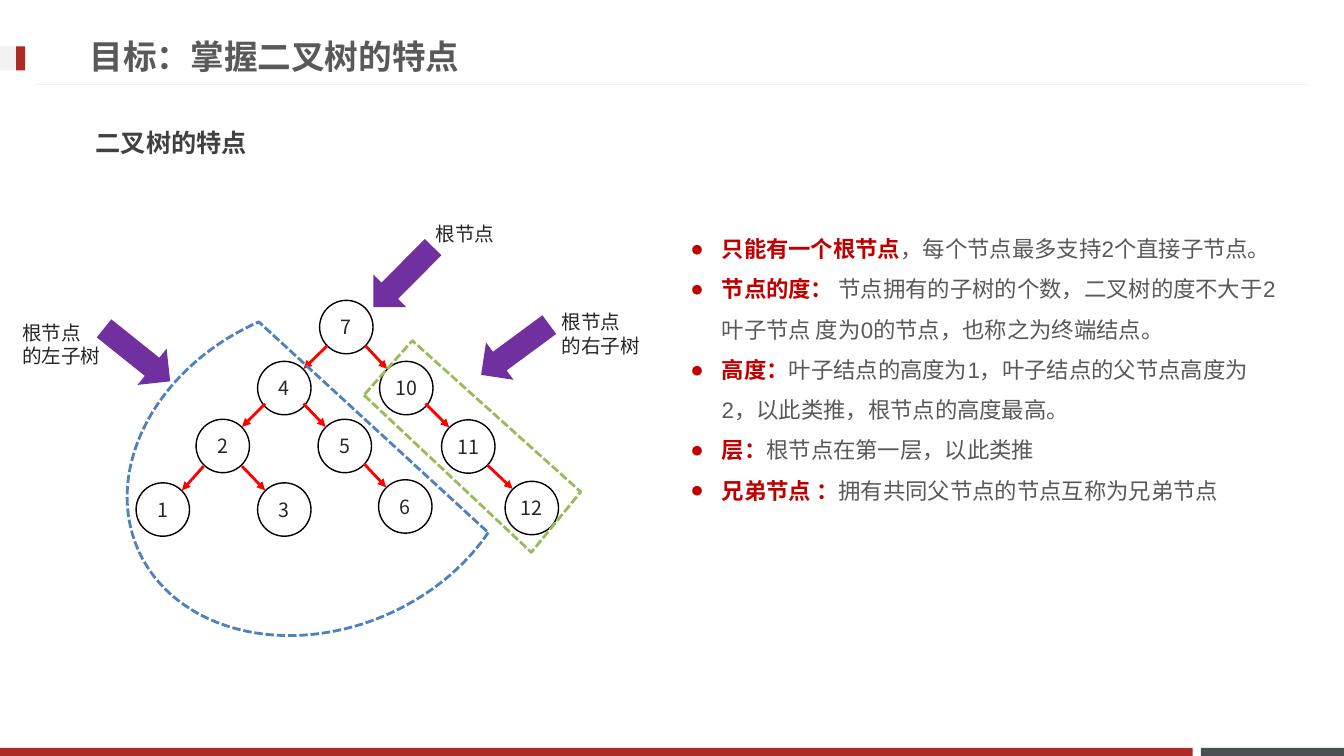
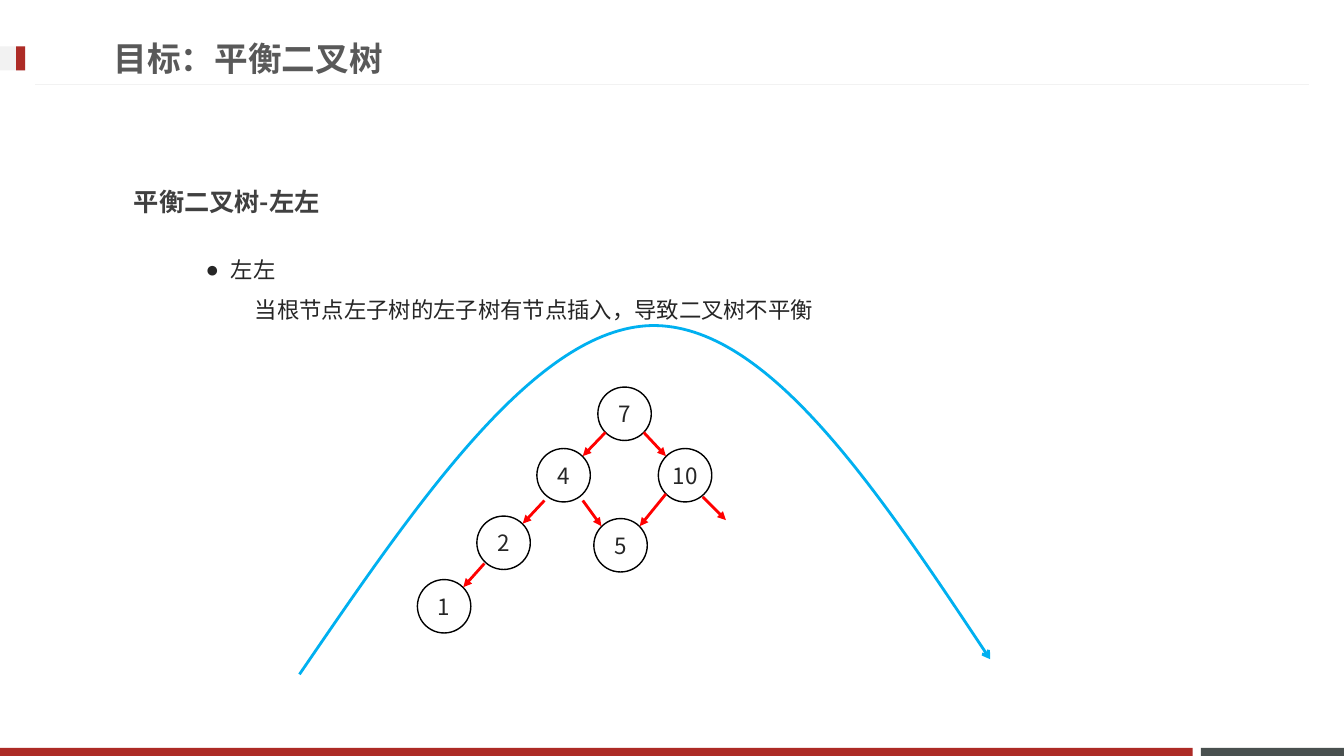
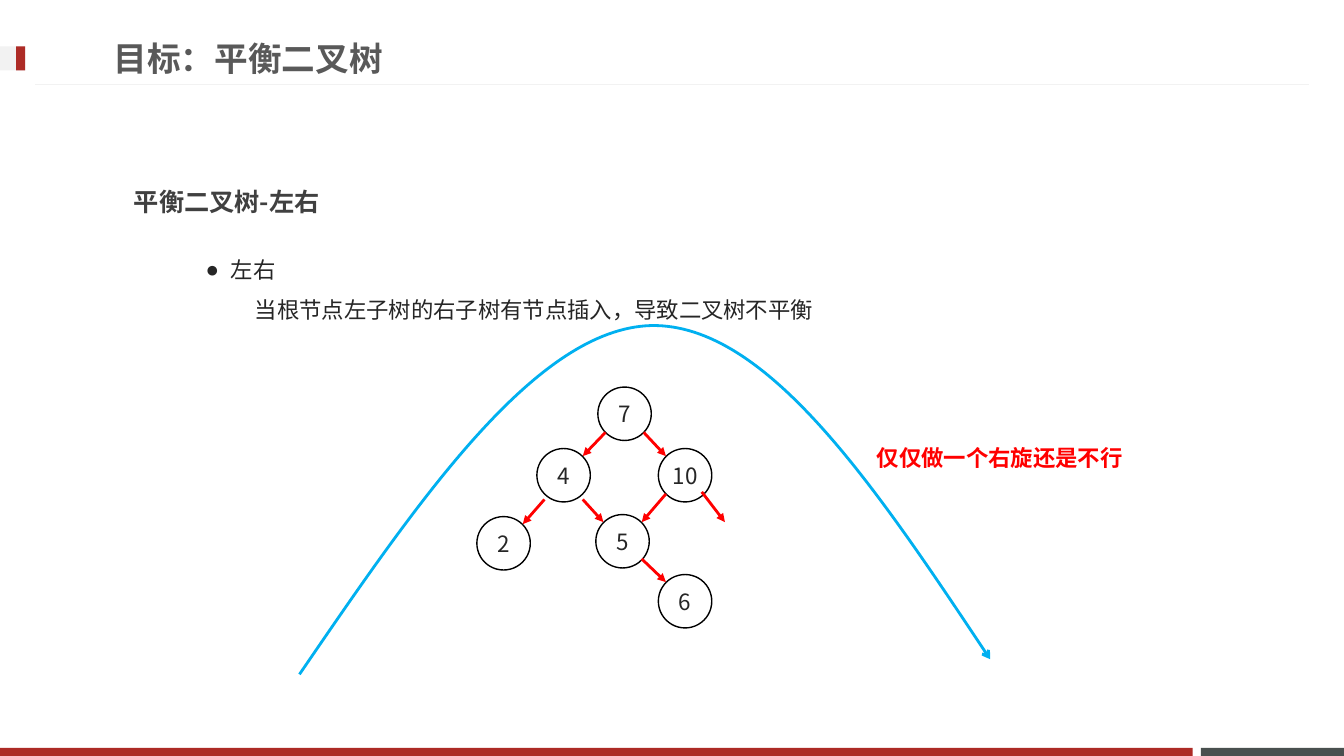
from dataclasses import dataclass

from lxml import etree
from pptx import Presentation
from pptx import util as u
from pptx.dml.color import RGBColor
from pptx.enum import dml, shapes, text
from pptx.oxml.ns import qn


@dataclass(frozen=True)
class Theme:
    brand: str = "AD2B26"
    slate: str = "49504F"
    pale: str = "F2F2F2"
    ink: str = "262626"
    heading: str = "404040"
    body: str = "595959"
    term: str = "C00000"
    alert: str = "FF0000"
    pointer: str = "7030A0"
    left_tree: str = "4F81BD"
    right_tree: str = "9BBB59"
    rotation: str = "00B0F0"
    outline: str = "000000"
    sans: str = "Noto Sans CJK SC"
    title_sans: str = "Noto Sans CJK JP"
    latin: str = "Arial"
    title_size: int = 24
    heading_size: int = 18
    body_size: int = 16
    label_size: int = 14


theme = Theme()
prs = Presentation()
prs.slide_width, prs.slide_height = u.Inches(13.33), u.Inches(7.5)

# Grid of square cells: 75 rows, a little over 133 columns
cell = prs.slide_height / 75
last_col = prs.slide_width / cell
blank = prs.slide_layouts[6]


def draw(slide, place, content=(), preset=None, fill=None, line=None, dash=None, weight=1,
         turn=0, size=theme.label_size, color=theme.ink, font=theme.sans, bold=False,
         align=None, anchor=None, spacing=None, wrap=True, bullets=0, hang=0, indent=0):
    """Add a text box or preset shape; a (lead, rest) paragraph opens with a bold term."""
    place = [u.Emu(round(cell * n)) for n in place]
    if preset is None:
        part = slide.shapes.add_textbox(*place)
    else:
        part = slide.shapes.add_shape(preset, *place)
        part.shadow.inherit = False
        part.rotation = turn
        part.fill.background()
        part.line.fill.background()
        if fill:
            part.fill.solid()
            part.fill.fore_color.rgb = RGBColor.from_string(fill)
        if line:
            part.line.color.rgb = RGBColor.from_string(line)
            part.line.width = u.Pt(weight)
            part.line.dash_style = dash
    frame = part.text_frame
    frame.word_wrap = wrap
    if anchor:
        frame.vertical_anchor = anchor
    if preset:
        frame.margin_left = frame.margin_right = frame.margin_top = frame.margin_bottom = 0
    for i, entry in enumerate(content):
        para = frame.paragraphs[0] if i == 0 else frame.add_paragraph()
        layout = para._p.get_or_add_pPr()
        if i < bullets:
            layout.set("marL", str(round(hang * cell)))
            layout.set("indent", str(-round(hang * cell)))
            etree.SubElement(layout, qn("a:buFont"), typeface=theme.latin)
            etree.SubElement(layout, qn("a:buChar"), char="●")
        elif indent:
            layout.set("marL", str(round(indent * cell)))
        para.alignment = align
        para.line_spacing = spacing
        pieces = [(entry, color, bold)]
        if isinstance(entry, tuple):
            pieces = [(entry[0], theme.term, True), (entry[1], color, bold)]
        for words, tint, strong in pieces:
            run = para.add_run()
            run.text = words
            run.font.size = u.Pt(size)
            run.font.bold = strong
            run.font.color.rgb = RGBColor.from_string(tint)
            run.font.name = font
            east_asian = theme.sans if font == theme.latin else font
            etree.SubElement(run._r.get_or_add_rPr(), qn("a:ea"), typeface=east_asian)
    return part


def connect(slide, ends, color, weight, head=None):
    """Add a straight line between two grid points, with an optional arrowhead."""
    link = slide.shapes.add_connector(
        shapes.MSO_CONNECTOR.STRAIGHT, *[u.Emu(round(cell * n)) for n in ends])
    link.line.color.rgb = RGBColor.from_string(color)
    link.line.width = u.Pt(weight)
    properties = link.element.spPr
    if head:
        etree.SubElement(properties.find(qn("a:ln")), qn("a:tailEnd"), type=head)
    etree.SubElement(properties, qn("a:effectLst"))
    return link


# Slide content: node = (centre column, centre row, rows from centre to outgoing arrows)
pages = [
    dict(title="目标：掌握二叉树的特点", title_place=(7.9, 0, 78.5, 11.6),
         heading="二叉树的特点", heading_place=(8.5, 10.6, 83.8, 5.1),
         heading_font=theme.title_sans, node_size=theme.label_size,
         nodes={"7": (34.35, 32.45, 1.85), "4": (28.2, 38.5, 1.55), "10": (40.3, 38.5, 1.55),
                "2": (22.1, 44.25, 2), "5": (34.2, 44.25, 1.75), "11": (46.45, 44.3, 1.85),
                "1": (16.15, 50.55, 0), "3": (28.2, 50.55, 0), "6": (40.2, 50.25, 0),
                "12": (52.75, 50.4, 0)},
         edges=["7 4", "7 10", "4 2", "4 5", "2 1", "2 3", "5 6", "10 11", "11 12"]),
    dict(title="目标：平衡二叉树", title_place=(10.3, 0.1, 78.5, 11.8),
         heading="平衡二叉树-左左", heading_place=(12.3, 16.5, 45.6, 5),
         heading_font=theme.sans, node_size=theme.body_size,
         nodes={"7": (61.95, 41.05, 1.85), "4": (55.9, 47.15, 2.5), "10": (67.95, 47.15, 1.85),
                "2": (49.95, 53.85, 2.05), "1": (44.05, 60.15, 0), "5": (61.55, 54.1, 0)},
         edges=["7 4", "7 10", "4 2", "4 5", "10 5", "2 1"],
         case="左左", cause="当根节点左子树的左子树有节点插入，导致二叉树不平衡",
         loose_arrow=(69.7, 49.3, 72, 51.6)),
    dict(title="目标：平衡二叉树", title_place=(10.3, 0.1, 78.5, 11.8),
         heading="平衡二叉树-左右", heading_place=(12.3, 16.5, 45.6, 5),
         heading_font=theme.sans, node_size=theme.body_size,
         nodes={"7": (61.95, 41.05, 1.85), "4": (55.9, 47.15, 2.4), "10": (67.95, 47.15, 1.85),
                "2": (49.95, 53.9, 0), "5": (61.75, 53.7, 1.75), "6": (67.95, 59.65, 0)},
         edges=["7 4", "7 10", "4 2", "4 5", "10 5", "5 6"],
         case="左右", cause="当根节点左子树的右子树有节点插入，导致二叉树不平衡",
         loose_arrow=(69.6, 48.8, 71.9, 51.8), remark="仅仅做一个右旋还是不行"),
]
slides = [prs.slides.add_slide(blank) for page in pages]

# Shared bands, title rule and title mark, drawn once and moved to the layout
rect = shapes.MSO_SHAPE.RECTANGLE
furniture = [draw(slides[0], place, preset=rect, fill=fill) for place, fill in [
    ((119.1, 74.2, last_col - 119.1, 0.8), theme.slate),
    ((0, 74.2, 118.3, 0.8), theme.brand),
    ((0, 4.6, 2.5, 2.4), theme.pale),
    ((1.6, 4.6, 0.9, 2.4), theme.brand)]]
furniture.append(connect(slides[0], (3.5, 8.4, 129.8, 8.4), theme.pale, 0.75))
for part in furniture:
    blank.shapes.element.append(part.element)

# Titles, headings and trees
node_width, arrow_reach = 5.3, 1.9
for slide, page in zip(slides, pages):
    draw(slide, page["title_place"], [page["title"]], size=theme.title_size, bold=True,
         color=theme.body, font=theme.title_sans, spacing=0.9, anchor=text.MSO_ANCHOR.MIDDLE)
    draw(slide, page["heading_place"], [page["heading"]], size=theme.heading_size, bold=True,
         color=theme.heading, font=page["heading_font"], spacing=1.5)
    nodes = page["nodes"]
    for value, (col, row, _) in nodes.items():
        draw(slide, (col - node_width / 2, row - node_width / 2, node_width, node_width),
             [value], preset=shapes.MSO_SHAPE.OVAL, line=theme.outline,
             size=page["node_size"], align=text.PP_ALIGN.CENTER,
             anchor=text.MSO_ANCHOR.MIDDLE, wrap=False)
    for edge in page["edges"]:
        parent, child = (nodes[value] for value in edge.split())
        reach = arrow_reach if child[0] > parent[0] else -arrow_reach
        connect(slide, (parent[0] + reach, parent[1] + parent[2],
                        child[0] - reach, child[1] - arrow_reach),
                theme.alert, 2, "triangle")

# Slide 1: subtree outlines
features = slides[0]
dashes = dml.MSO_LINE.SQUARE_DOT
draw(features, (12, 30.6, 40.1, 31.7), preset=shapes.MSO_SHAPE.CHORD, turn=336.3,
     line=theme.left_tree, weight=2, dash=dashes)
builder = features.shapes.build_freeform(361, 392, scale=cell / 10)
builder.add_line_segments([(527, 548), (576, 488), (409, 338)], close=True)
right_subtree = builder.convert_to_shape()
right_subtree.shadow.inherit = False
right_subtree.fill.background()
right_subtree.line.color.rgb = RGBColor.from_string(theme.right_tree)
right_subtree.line.width = u.Pt(2)
right_subtree.line.dash_style = dashes

# Slide 1: block arrows with their labels
for arrow_col, arrow_row, turn, label_place, label in [
        (37.7, 23.3, 44.9, (42.2, 21.5, 7.9, 3.4), ["根节点"]),
        (11.3, 31, 308.7, (1.2, 31.3, 9.9, 5.7), ["根节点", "的左子树"]),
        (48.8, 30.5, 53.6, (54.7, 30.3, 9.9, 5.7), ["根节点", "的右子树"])]:
    draw(features, (arrow_col, arrow_row, 4.6, 8.4), preset=shapes.MSO_SHAPE.DOWN_ARROW,
         fill=theme.pointer, turn=turn)
    draw(features, label_place, label)

# Slide 1: definitions
definitions = [
    ("只能有一个根节点", "，每个节点最多支持2个直接子节点。"),
    ("节点的度： ", "节点拥有的子树的个数，二叉树的度不大于2 叶子节点 度为0的节点，也称之为终端结点。"),
    ("高度：", "叶子结点的高度为1，叶子结点的父节点高度为2，以此类推，根节点的高度最高。"),
    ("层：", "根节点在第一层，以此类推"),
    ("兄弟节点 ：", "拥有共同父节点的节点互称为兄弟节点"),
]
draw(features, (67.5, 21.5, 60.3, 28.8), definitions, size=theme.body_size, color=theme.body,
     font=theme.latin, spacing=1.5, bullets=len(definitions), hang=3.1)

# Slides 2 and 3: cause of imbalance, loose arrow and rotation curve
for slide, page in zip(slides[1:], pages[1:]):
    draw(slide, (19.4, 23.6, 107.4, 8.6), [page["case"], page["cause"]],
         size=theme.body_size, spacing=1.5, bullets=1, hang=2.5, indent=4.9)
    connect(slide, page["loose_arrow"], theme.alert, 2, "triangle")

    builder = slide.shapes.build_freeform(297, 669, scale=cell / 10)
    builder.add_line_segments([(414, 498), (531, 326), (646, 323),
                               (760, 321), (871, 487), (982, 654)], close=False)
    rotation = builder.convert_to_shape()
    rotation.shadow.inherit = False
    rotation.fill.background()
    rotation.line.color.rgb = RGBColor.from_string(theme.rotation)
    rotation.line.width = u.Pt(2)
    properties = rotation.element.spPr
    etree.SubElement(properties.find(qn("a:ln")), qn("a:tailEnd"), type="arrow")
    # Every three points become one Bézier segment
    outline = properties.find(".//" + qn("a:path"))
    steps = outline.findall(qn("a:lnTo"))
    for first in range(0, len(steps), 3):
        bend = etree.SubElement(outline, qn("a:cubicBezTo"))
        for step in steps[first:first + 3]:
            bend.append(step[0])
            outline.remove(step)

    if "remark" in page:
        draw(slide, (86, 42.2, 26.7, 4.6), [page["remark"]], size=theme.body_size,
             color=theme.alert, bold=True, spacing=1.5, wrap=False)

prs.save("out.pptx")
